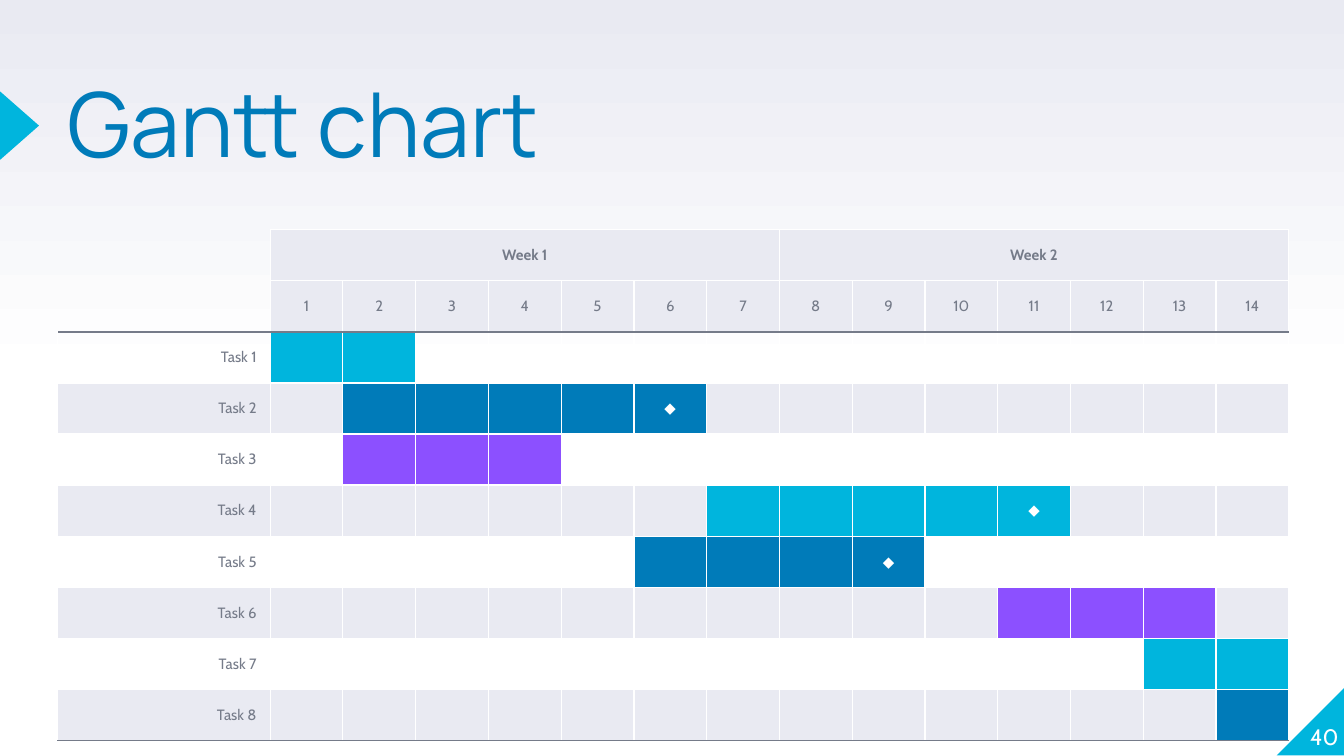
from copy import deepcopy
from typing import Any, NamedTuple

from lxml import etree
from pptx import Presentation
from pptx.dml.color import RGBColor
from pptx.enum.shapes import MSO_SHAPE
from pptx.enum.text import MSO_ANCHOR, PP_ALIGN
from pptx.oxml.ns import qn
from pptx.util import Inches, Pt

LEFT, MID, RIGHT = PP_ALIGN.LEFT, PP_ALIGN.CENTER, PP_ALIGN.RIGHT
TOP, CENTER, BOTTOM = MSO_ANCHOR.TOP, MSO_ANCHOR.MIDDLE, MSO_ANCHOR.BOTTOM
TRI, CORNER = MSO_SHAPE.ISOSCELES_TRIANGLE, MSO_SHAPE.RIGHT_TRIANGLE

WHITE, PALE, GREY = "FFFFFF", "E9EAF2", "757B89"
CYAN, BLUE, VIOLET = "00B5DD", "007BB9", "8C50FF"
DAYS, WEEK, HEAD = 14, 7, 2
WIDTH, NAME_W, ROW_H = 9.16, 1.58, 0.38
PAGE_W, PAGE_H = 10, 10 * 9 / 16


class Task(NamedTuple):
    start: int
    end: int
    color: str
    mark: bool = False  # milestone on the last day


class Label(NamedTuple):
    text: str
    box: tuple[float, float, float, float]
    style: dict[str, Any]
    align: Any = LEFT
    anchor: Any = TOP
    space: float = 1.0


TASKS = [
    Task(1, 2, CYAN),
    Task(2, 6, BLUE, True),
    Task(2, 4, VIOLET),
    Task(7, 11, CYAN, True),
    Task(6, 9, BLUE, True),
    Task(11, 13, VIOLET),
    Task(13, 14, CYAN),
    Task(14, 14, BLUE),
]
LABELS = [
    Label("Gantt chart", (0.5, 0.66, 6.17, 1.18),
          {"name": "Manrope", "size": Pt(48), "color": BLUE}, space=0.8),
    Label("40", (9.46, 5.07, 0.5, 0.51),
          {"name": "Cabin", "size": Pt(12), "color": WHITE}, RIGHT, BOTTOM),
]


def rgb(code: str) -> RGBColor:
    return RGBColor.from_string(code)


def add_run(para: Any, text: str, style: dict[str, Any]) -> None:
    run = para.add_run()
    run.text = text
    for key, value in style.items():
        if key == "color":
            run.font.color.rgb = rgb(value)
        else:
            setattr(run.font, key, value)


def draw_label(slide: Any, label: Label) -> None:
    frame = slide.shapes.add_textbox(*map(Inches, label.box)).text_frame
    frame.word_wrap = True
    frame.vertical_anchor = label.anchor
    for side in ("left", "top", "right", "bottom"):
        setattr(frame, f"margin_{side}", 0)
    para = frame.paragraphs[0]
    para.alignment = label.align
    para.line_spacing = label.space
    add_run(para, label.text, label.style)


def draw_shape(slide: Any, kind: Any, box: tuple[float, ...]) -> Any:
    shape = slide.shapes.add_shape(kind, *map(Inches, box))
    shape.shadow.inherit = False
    shape.fill.solid()
    shape.fill.fore_color.rgb = rgb(CYAN)
    shape.line.fill.background()
    return shape


def set_edges(cell: Any, edges: dict[str, str]) -> None:
    props = cell._tc.get_or_add_tcPr()
    for side in "LRTB":
        line = etree.SubElement(props, qn(f"a:ln{side}"), w=str(Pt(0.75)))
        if side in edges:
            fill = etree.SubElement(line, qn("a:solidFill"))
            etree.SubElement(fill, qn("a:srgbClr"), val=edges[side])
        else:
            etree.SubElement(line, qn("a:noFill"))


def cell_edges(row: int, col: int) -> dict[str, str]:
    edges = {"R": WHITE} if row < HEAD and col == 0 else dict.fromkeys("LRTB", WHITE)
    if row in (HEAD - 1, HEAD + len(TASKS) - 1):
        edges["B"] = GREY
    if row == HEAD:
        edges["T"] = GREY
    return edges


def cell_look(row: int, col: int) -> tuple[str, str | None]:
    """Give the text and the fill of a cell."""
    if row < HEAD:
        if col == 0:
            return "", None
        if row == 1:
            return str(col), PALE
        first = (col - 1) % WEEK == 0
        return (f"Week {(col - 1) // WEEK + 1}" if first else ""), PALE
    num = row - HEAD + 1
    task = TASKS[num - 1]
    if task.start <= col <= task.end:
        return ("◆" if task.mark and col == task.end else ""), task.color
    return (f"Task {num}" if col == 0 else ""), (None if num % 2 else PALE)


def draw_cell(cell: Any, row: int, col: int) -> None:
    text, fill = cell_look(row, col)
    set_edges(cell, cell_edges(row, col))
    if fill:
        cell.fill.solid()
        cell.fill.fore_color.rgb = rgb(fill)
    else:
        cell.fill.background()
    cell.vertical_anchor = CENTER
    para = cell.text_frame.paragraphs[0]
    para.alignment = MID if col else RIGHT
    if text:
        add_run(para, text, {"name": "Cabin", "size": Pt(8), "bold": row == 0,
                             "color": WHITE if text == "◆" else GREY})
    else:  # keeps empty rows from growing
        etree.SubElement(para._p, qn("a:endParaRPr"), sz="800")


def draw_chart(slide: Any) -> None:
    rows = HEAD + len(TASKS)
    box = map(Inches, (0.43, 1.71, WIDTH, ROW_H * rows))
    table = slide.shapes.add_table(rows, DAYS + 1, *box).table
    table.first_row = table.horz_banding = False
    for col, column in enumerate(table.columns):
        column.width = Inches((WIDTH - NAME_W) / DAYS if col else NAME_W)
    for row, line in enumerate(table.rows):
        line.height = Inches(ROW_H)
        for col, cell in enumerate(line.cells):
            draw_cell(cell, row, col)
    for col in range(1, DAYS + 1, WEEK):
        table.cell(0, col).merge(table.cell(0, col + WEEK - 1))


def draw_back(slide: Any) -> None:
    fill = slide.background.fill
    fill.gradient()
    fill.gradient_angle = 90
    for stop, color, place in zip(fill.gradient_stops, (WHITE, PALE), (0, 1)):
        stop.color.rgb = rgb(color)
        stop.position = place
    # White holds up to the middle
    first = slide.element.find(".//" + qn("a:gs"))
    half = deepcopy(first)
    half.set("pos", "50000")
    first.addnext(half)


def main() -> None:
    deck = Presentation()
    deck.slide_width, deck.slide_height = Inches(PAGE_W), Inches(PAGE_H)
    slide = deck.slides.add_slide(deck.slide_layouts[6])
    draw_back(slide)

    # Page corner and title pointer
    corner = draw_shape(slide, CORNER, (9.5, 5.11, 0.51, 0.51))
    corner.element.spPr.find(qn("a:xfrm")).set("flipH", "1")
    draw_shape(slide, TRI, (-0.11, 0.79, 0.51, 0.29)).rotation = 90

    # Title, page number and schedule
    for label in LABELS:
        draw_label(slide, label)
    draw_chart(slide)
    deck.save("out.pptx")


if __name__ == "__main__":
    main()
